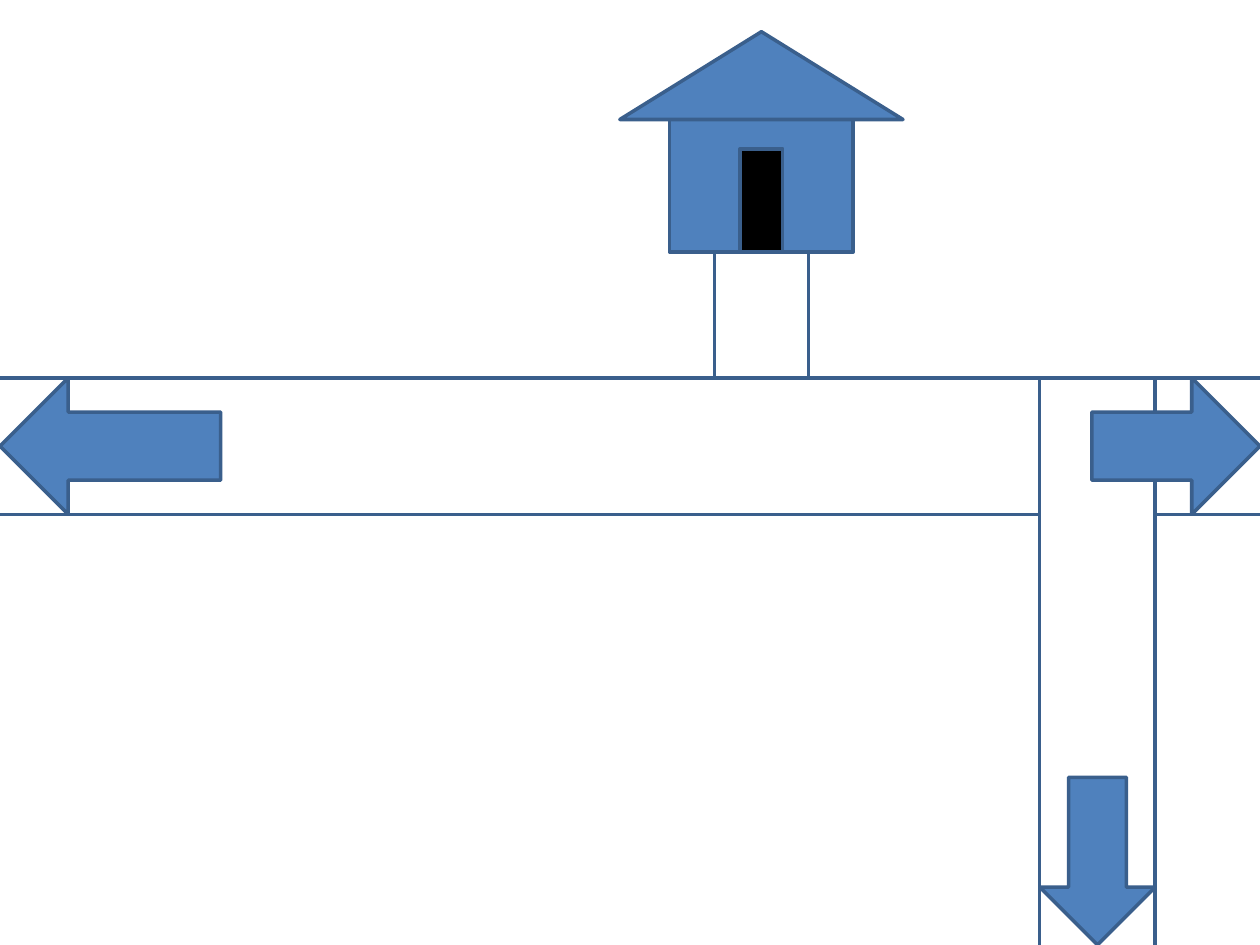
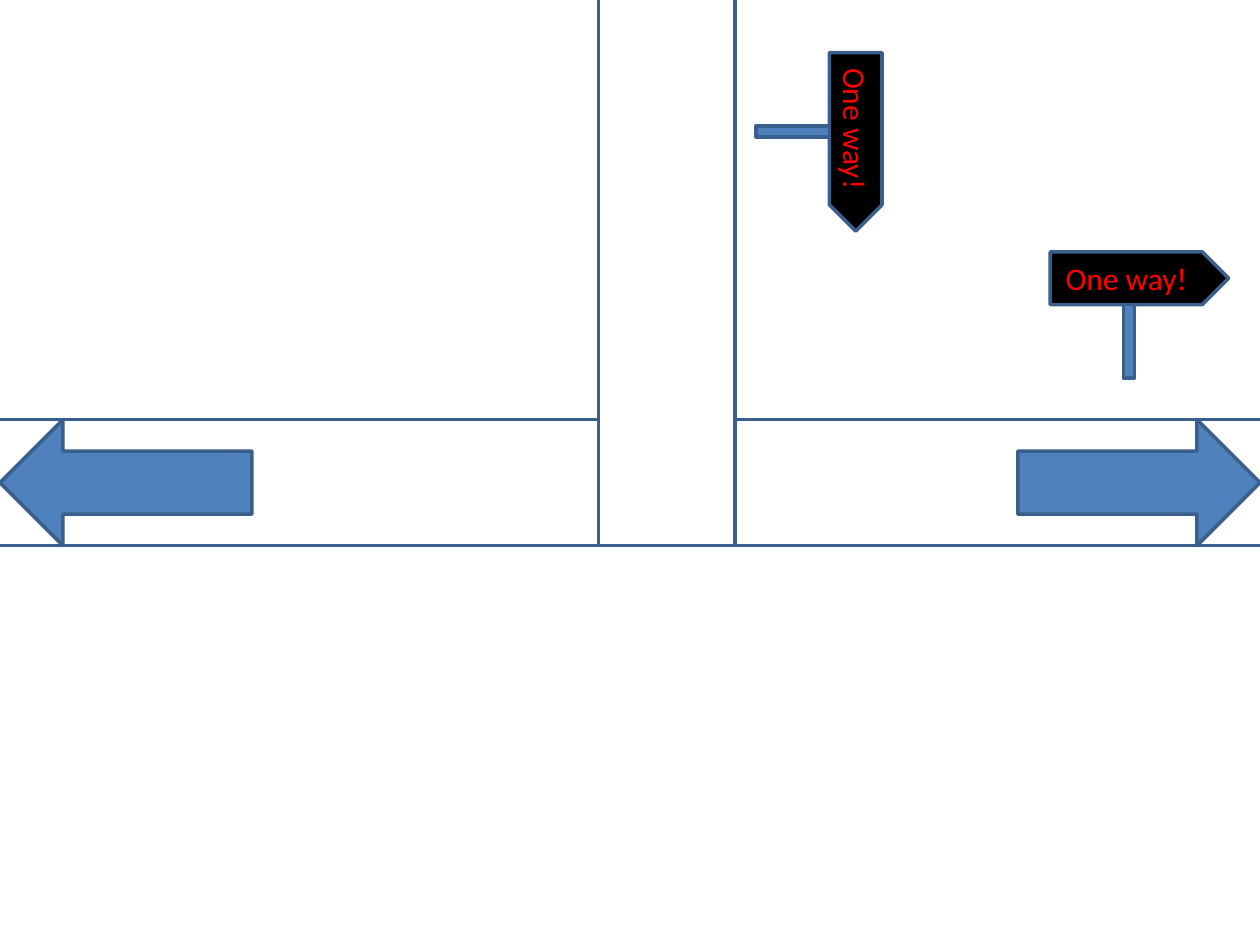
from pptx import Presentation
from pptx.dml.color import RGBColor
from pptx.enum import shapes as sh, text as tx
from pptx.util import Cm, Pt

# Shared look
BLUE, OUTLINE, WHITE, BLACK, RED = "4F81BD", "3A5F8C", "FFFFFF", "000000", "FF0000"
FONT = "Calibri"
SLIDE_W, SLIDE_H = 25.4, 19.05
KIND = sh.MSO_SHAPE


def color(hex_code):
    return RGBColor.from_string(hex_code)


def add_block(parent, kind, left, top, width, height, fill=BLUE):
    """Add an outlined preset shape to a slide or a group."""
    block = parent.shapes.add_shape(kind, Cm(left), Cm(top), Cm(width), Cm(height))
    block.shadow.inherit = False
    block.fill.solid()
    block.fill.fore_color.rgb = color(fill)
    block.line.color.rgb = color(OUTLINE)
    block.line.width = Pt(2)
    return block


def add_road(slide, left, top, width, height):
    return add_block(slide, KIND.RECTANGLE, left, top, width, height, WHITE)


def add_left_arrow(slide, top, length, road_width):
    """Arrow ending at the left slide edge."""
    add_block(slide, KIND.LEFT_ARROW, 0, top, length, road_width)


def add_right_arrow(slide, top, length, road_width):
    """Arrow ending at the right slide edge."""
    add_block(slide, KIND.RIGHT_ARROW, SLIDE_W - length, top, length, road_width)


def add_house(slide, center, ground):
    """House standing on the ground line, symmetric about its center."""
    house = slide.shapes.add_group_shape()
    wall_height, roof_height = 2.67, 1.77
    parts = [
        (KIND.RECTANGLE, 3.7, wall_height, ground - wall_height, BLUE),
        (KIND.ISOSCELES_TRIANGLE, 5.71, roof_height,
         ground - wall_height - roof_height, BLUE),
        (KIND.FLOWCHART_PROCESS, 0.86, 2.08, ground - 2.08, BLACK),
    ]
    for kind, width, height, top, fill in parts:
        add_block(house, kind, center - width / 2, top, width, height, fill)


def add_sign(slide, left, top, rotation=0):
    """One-way sign on a post; the whole group can be turned."""
    sign = slide.shapes.add_group_shape()
    board_height = 1.06
    board = add_block(sign, KIND.RIGHT_ARROW, left, top, 3.6, board_height, BLACK)
    board.adjustments[0] = 1
    board.adjustments[1] = 0.5
    frame = board.text_frame
    frame.text = "One way!"
    frame.vertical_anchor = tx.MSO_ANCHOR.MIDDLE
    caption = frame.paragraphs[0]
    caption.alignment = tx.PP_ALIGN.CENTER
    font = caption.runs[0].font
    font.name, font.size = FONT, Pt(18)
    font.color.rgb = color(RED)
    add_block(sign, KIND.RECTANGLE, left + 1.48, top + board_height, 0.22, 1.48)
    sign.rotation = rotation


def build_house_junction(slide):
    road_top, road_width = 7.62, 2.75
    side_left, side_width = 20.96, 2.33
    house_center, house_ground = 15.35, 5.08

    # House, its path and the main road
    add_road(slide, house_center - 0.95, house_ground, 1.9, 3.18)
    add_road(slide, -0.64, road_top, 27.5, road_width)
    add_left_arrow(slide, road_top, 4.45, road_width)
    add_house(slide, house_center, house_ground)

    # Side road going down
    add_road(slide, side_left, road_top, side_width, 12.07)
    arrow_length = 3.38
    add_block(slide, KIND.DOWN_ARROW, side_left, SLIDE_H - arrow_length,
              side_width, arrow_length)
    add_right_arrow(slide, road_top, 3.39, road_width)


def build_one_way_junction(slide):
    road_top, road_width = 8.46, 2.54

    # Main road and the road coming from above
    add_road(slide, -3.38, road_top, 33.22, road_width)
    add_road(slide, 12.07, -2.54, 2.75, road_top + road_width + 2.54)
    add_left_arrow(slide, road_top, 5.08, road_width)

    # One-way signs
    add_sign(slide, 21.17, 5.08)
    add_sign(slide, 14.71, 1.59, rotation=90)
    add_right_arrow(slide, road_top, 4.88, road_width)


def main():
    deck = Presentation()
    deck.slide_width, deck.slide_height = Cm(SLIDE_W), Cm(SLIDE_H)
    blank = deck.slide_layouts[6]
    for build in (build_house_junction, build_one_way_junction):
        build(deck.slides.add_slide(blank))
    deck.save("out.pptx")


if __name__ == "__main__":
    main()
